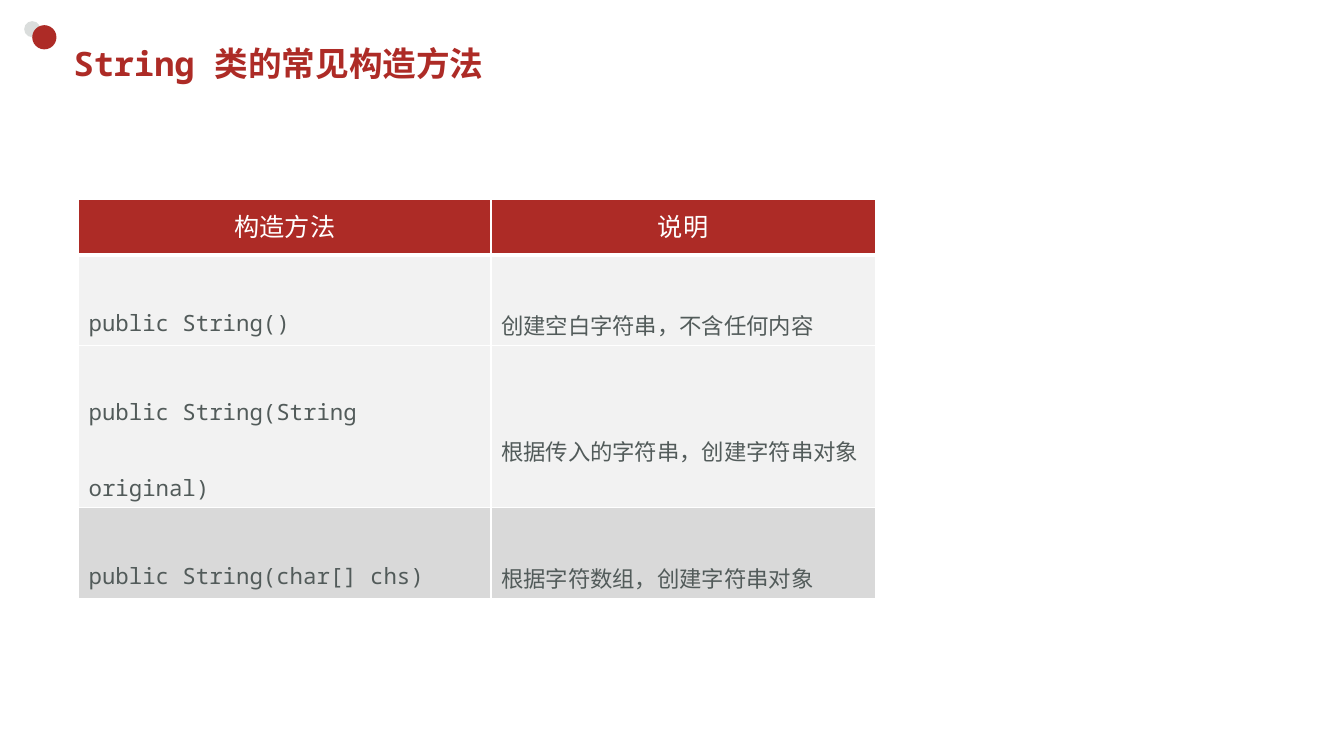
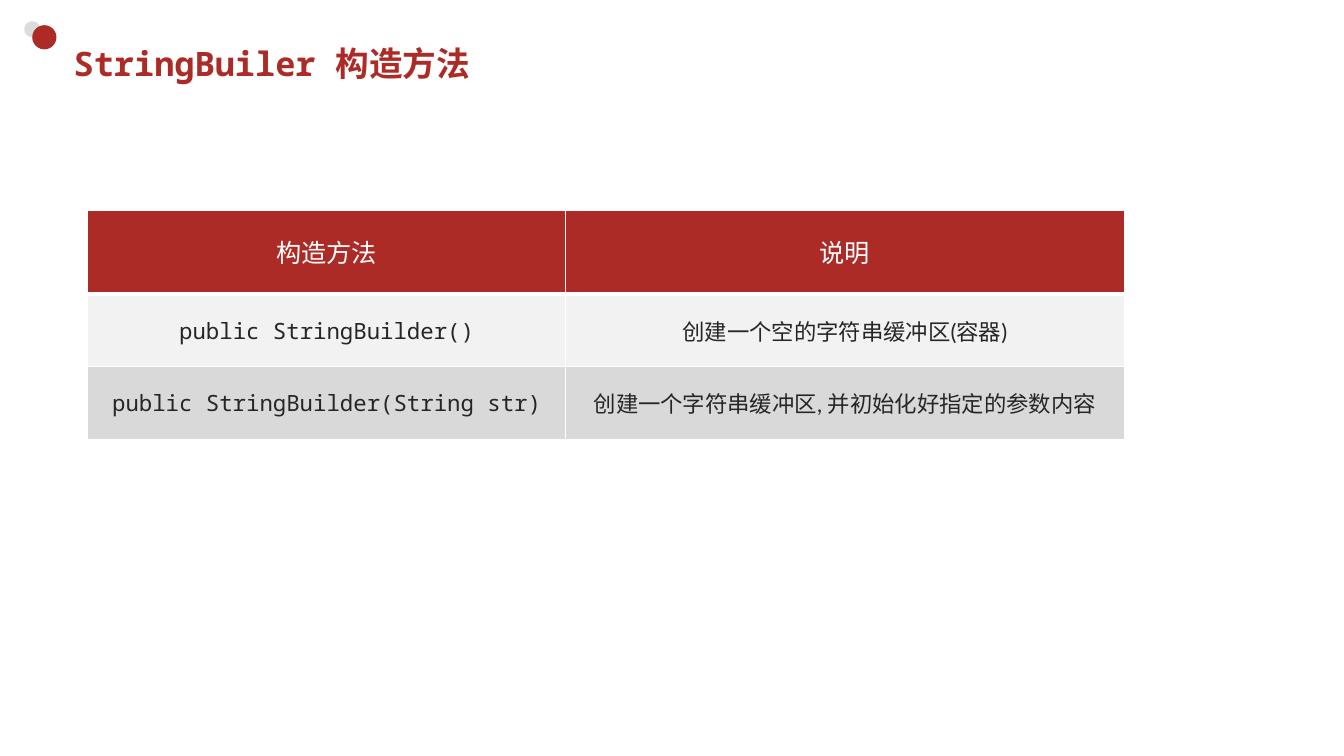
"""Build two slides that list string constructors in tables."""
from dataclasses import dataclass

from lxml.etree import SubElement
from pptx import Presentation
from pptx.dml.color import RGBColor
from pptx.enum.shapes import MSO_SHAPE
from pptx.enum.text import MSO_ANCHOR, PP_ALIGN
from pptx.oxml.ns import qn
from pptx.util import Inches, Pt


@dataclass(frozen=True)
class Theme:
    """Colours, fonts and type sizes of the deck."""
    red: str = "AD2B26"
    grey: str = "DADDDC"
    white: str = "FFFFFF"
    light: str = "F2F2F2"
    dark: str = "D9D9D9"
    slate: str = "525B5A"
    ink: str = "262626"
    mono: str = "Noto Sans Mono"
    sans: str = "Lato"
    han: str = "Noto Sans CJK JP"
    title: int = 24
    head: int = 18
    body: int = 16


THEME = Theme()


def write(para, text, *, font, size, color, bold=False, align=PP_ALIGN.LEFT, space=None):
    """Add a formatted run to a paragraph."""
    para.alignment = align
    if space:
        para.line_spacing = space
    run = para.add_run()
    run.text = text
    run.font.name = font
    run.font.size = Pt(size)
    run.font.bold = bold
    run.font.color.rgb = RGBColor.from_string(color)
    SubElement(run._r.get_or_add_rPr(), qn("a:ea"), typeface=THEME.han)


def add_dot(slide, left, top, size, color):
    """Draw one plain circle."""
    dot = slide.shapes.add_shape(
        MSO_SHAPE.OVAL, Inches(left), Inches(top), Inches(size), Inches(size))
    dot.shadow.inherit = False
    dot.fill.solid()
    dot.fill.fore_color.rgb = RGBColor.from_string(color)
    dot.line.fill.background()


def add_page(deck, code, label):
    """Add a slide with the two dots and its title."""
    slide = deck.slides.add_slide(deck.slide_layouts[5])
    add_dot(slide, 0.24, 0.21, 0.16, THEME.grey)
    add_dot(slide, 0.32, 0.25, 0.24, THEME.red)
    title = slide.shapes.title
    title.left, title.top = Inches(0.63), Inches(0.37)
    title.width, title.height = Inches(11.74), Inches(0.52)
    title.text_frame.vertical_anchor = MSO_ANCHOR.MIDDLE
    for text, font in ((code + " ", THEME.mono), (label, THEME.han)):
        write(title.text_frame.paragraphs[0], text, font=font,
              size=THEME.title, color=THEME.red, bold=True)
    return slide


def set_edge(cell, side, width):
    """Draw a white border on one side of a cell."""
    line = SubElement(cell._tc.get_or_add_tcPr(), qn(f"a:ln{side}"), w=str(Pt(width)))
    fill = SubElement(line, qn("a:solidFill"))
    SubElement(fill, qn("a:srgbClr"), val=THEME.white)


def fill_cell(cell, text, row, fill, **style):
    """Set the borders, fill and text of a cell."""
    edges = {"L": 1, "R": 1, "T": 3 if row == 1 else 1, "B": 3 if row == 0 else 1}
    for side, width in edges.items():
        set_edge(cell, side, width)
    cell.fill.solid()
    cell.fill.fore_color.rgb = RGBColor.from_string(fill)
    cell.vertical_anchor = MSO_ANCHOR.MIDDLE
    write(cell.text_frame.paragraphs[0], text, **style)


def add_grid(slide, left, top, cols, rows, items, fonts, **body):
    """Add a table with a red header and a darker last row."""
    frame = slide.shapes.add_table(
        len(rows), len(cols), Inches(left), Inches(top),
        Inches(sum(cols)), Inches(sum(rows)))
    table = frame.table
    table.horz_banding = False
    for col, width in zip(table.columns, cols):
        col.width = Inches(width)
    for row, height in zip(table.rows, rows):
        row.height = Inches(height)
    for col, text in enumerate(("构造方法", "说明")):
        fill_cell(table.cell(0, col), text, 0, THEME.red, font=THEME.sans,
                  size=THEME.head, color=THEME.white, align=PP_ALIGN.CENTER, space=Pt(24))
    for row, pair in enumerate(items, 1):
        fill = THEME.dark if row == len(items) else THEME.light
        for col, text in enumerate(pair):
            fill_cell(table.cell(row, col), text, row, fill,
                      font=fonts[col], size=THEME.body, **body)


def main():
    """Build and save the deck."""
    deck = Presentation()
    deck.slide_width, deck.slide_height = Inches(13.33), Inches(7.5)

    page = add_page(deck, "String", "类的常见构造方法")
    add_grid(page, 0.78, 1.98, (4.09, 3.81), (0.55, 0.3, 0.53, 0.61), (
        ("public String()", "创建空白字符串，不含任何内容"),
        ("public String(String original)", "根据传入的字符串，创建字符串对象"),
        ("public String(char[] chs)", "根据字符数组，创建字符串对象"),
    ), (THEME.mono, THEME.mono), color=THEME.slate, space=2.5)

    page = add_page(deck, "StringBuiler", "构造方法")
    add_grid(page, 0.87, 2.09, (4.74, 5.54), (0.83, 0.72, 0.72), (
        ("public StringBuilder()", "创建一个空的字符串缓冲区(容器)"),
        ("public StringBuilder(String str)", "创建一个字符串缓冲区, 并初始化好指定的参数内容"),
    ), (THEME.mono, THEME.sans), color=THEME.ink, align=PP_ALIGN.CENTER)

    deck.save("out.pptx")


if __name__ == "__main__":
    main()
